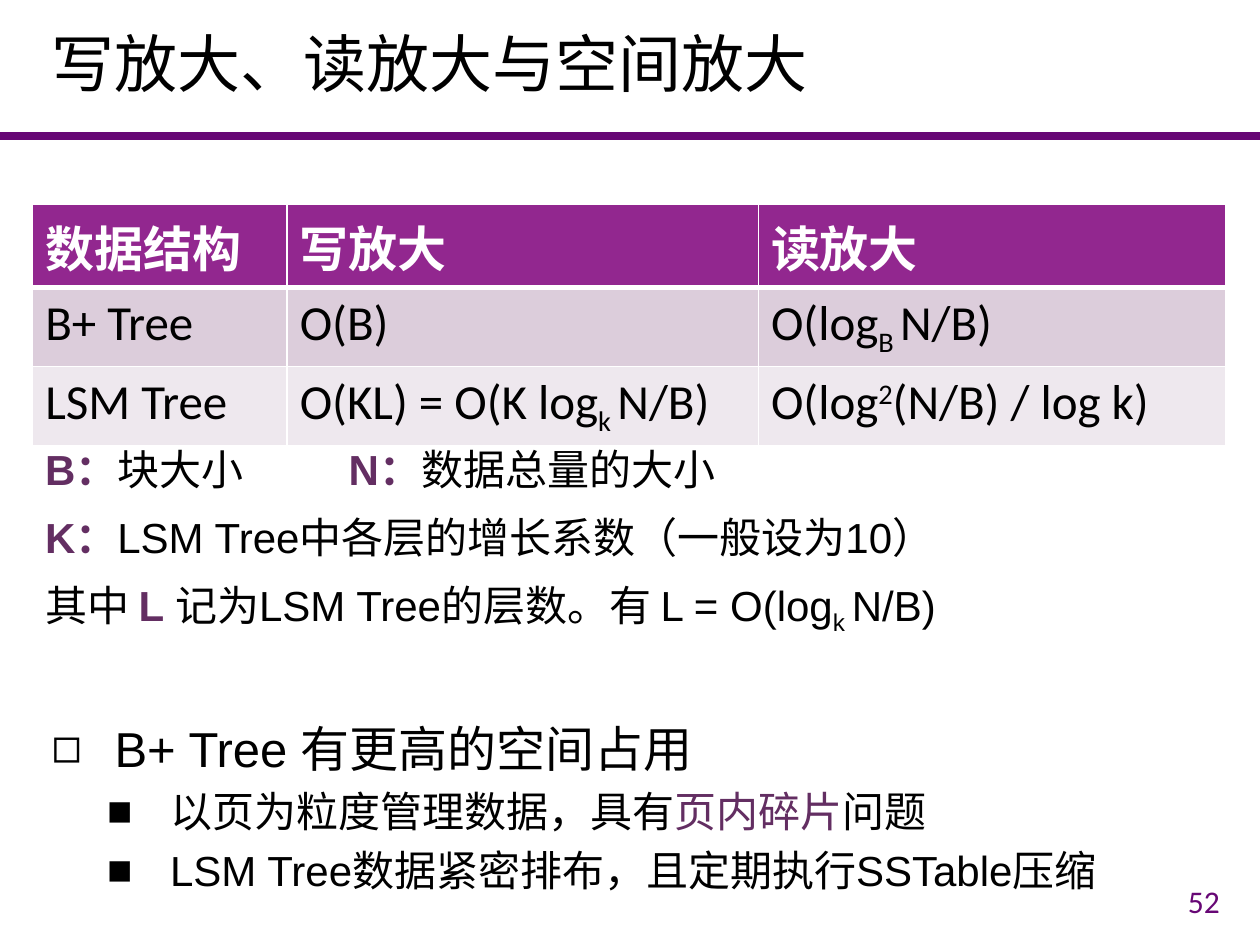
from dataclasses import dataclass

from lxml.etree import SubElement
from pptx import Presentation
from pptx.dml.color import RGBColor as Rgb
from pptx.enum.shapes import MSO_CONNECTOR as Connector
from pptx.enum.text import MSO_ANCHOR as Anchor, MSO_AUTO_SIZE as AutoSize, PP_ALIGN as Align
from pptx.oxml.ns import qn
from pptx.util import Inches, Pt

COLORS = {
    "rule": "670775",
    "header": "92278F",
    "band_dark": "DCCDDB",
    "band_light": "EEE8EE",
    "accent": "632E62",
    "black": "000000",
    "white": "FFFFFF",
}
SUBSCRIPT, SUPERSCRIPT = -25000, 30000


@dataclass(frozen=True)
class Piece:
    text: str
    color: str = "black"
    bold: bool = False
    baseline: int = 0


@dataclass(frozen=True)
class Bullet:
    pieces: list[Piece]
    level: int
    symbol: str
    indent: float
    size: int
    space_before: int


def key(text: str) -> Piece:
    return Piece(text, "accent", True)


def sub(text: str) -> Piece:
    return Piece(text, baseline=SUBSCRIPT)


TABLE_ROWS = [
    [[Piece(text, "white", True)] for text in ("数据结构", "写放大", "读放大")],
    [
        [Piece("B+ Tree")],
        [Piece("O(B)")],
        [Piece("O(log"), sub("B "), Piece("N/B)")],
    ],
    [
        [Piece("LSM Tree")],
        [Piece("O(KL) = O(K log"), sub("k "), Piece("N/B)")],
        [Piece("O(log"), Piece("2", baseline=SUPERSCRIPT), Piece("(N/B) / log k)")],
    ],
]
ROW_FILLS = ["header", "band_dark", "band_light"]
COLUMN_WIDTHS = [2.02, 3.74, 3.71]

DEFINITIONS = [
    [key("B："), Piece("块大小\t"), key("N："), Piece("数据总量的大小")],
    [key("K："), Piece("LSM Tree中各层的增长系数（一般设为10）")],
    [
        Piece("其中 "), key("L "), Piece("记为LSM Tree的层数。有 L = O(log"),
        sub("k "), Piece("N/B)"),
    ],
]

BULLETS = [
    Bullet([Piece("B+ Tree 有更高的空间占用")], 0, "◻", 0.5, 28, 0),
    Bullet(
        [Piece("以页为粒度管理数据，具有"), Piece("页内碎片", "accent"), Piece("问题")],
        1, "■", 0.94, 24, 5,
    ),
    Bullet([Piece("LSM Tree数据紧密排布，且定期执行SSTable压缩")], 1, "■", 0.94, 24, 5),
]


def color_of(name: str) -> Rgb:
    return Rgb.from_string(COLORS[name])


def place(shape, left: float, top: float, width: float, height: float) -> None:
    shape.left, shape.top = Inches(left), Inches(top)
    shape.width, shape.height = Inches(width), Inches(height)


def write_pieces(paragraph, pieces: list[Piece], size: int, font_name: str) -> None:
    for piece in pieces:
        run = paragraph.add_run()
        run.text = piece.text
        run.font.size, run.font.name, run.font.bold = Pt(size), font_name, piece.bold
        run.font.color.rgb = color_of(piece.color)
        if piece.baseline:
            run._r.get_or_add_rPr().set("baseline", str(piece.baseline))


def paragraph_at(text_frame, index: int):
    return text_frame.add_paragraph() if index else text_frame.paragraphs[0]


def draw_title(slide) -> None:
    title = slide.shapes.title
    place(title, 0.31, 0.09, 9.47, 0.89)
    title.text_frame.auto_size = AutoSize.NONE
    title.text_frame.vertical_anchor = Anchor.MIDDLE
    paragraph = title.text_frame.paragraphs[0]
    paragraph.alignment, paragraph.line_spacing = Align.LEFT, 0.9
    write_pieces(paragraph, [Piece("写放大、读放大与空间放大")], 36, "Arial")


def draw_rule(slide) -> None:
    rule = slide.shapes.add_connector(
        Connector.STRAIGHT, 0, Inches(1.08), Inches(10), Inches(1.08)
    )
    rule.line.color.rgb, rule.line.width = color_of("rule"), Pt(4.5)
    SubElement(rule._element.spPr, qn("a:effectLst"))


def draw_border(cell, side: str, width: int) -> None:
    line = SubElement(cell._tc.get_or_add_tcPr(), qn(f"a:ln{side}"), w=str(Pt(width)))
    fill = SubElement(line, qn("a:solidFill"))
    SubElement(fill, qn("a:srgbClr"), val=COLORS["white"])


def draw_table(slide) -> None:
    table = slide.shapes.add_table(
        len(TABLE_ROWS), len(COLUMN_WIDTHS),
        Inches(0.26), Inches(1.62), Inches(9.47), Inches(1.7),
    ).table
    for column, width in zip(table.columns, COLUMN_WIDTHS):
        column.width = Inches(width)
    for row_index, (row, fill_name) in enumerate(zip(TABLE_ROWS, ROW_FILLS)):
        table.rows[row_index].height = Inches(0.41)
        for column_index, pieces in enumerate(row):
            cell = table.cell(row_index, column_index)
            for side in "LRTB":
                under_header = (row_index, side) in ((0, "B"), (1, "T"))
                draw_border(cell, side, 3 if under_header else 1)
            cell.fill.solid()
            cell.fill.fore_color.rgb = color_of(fill_name)
            write_pieces(cell.text_frame.paragraphs[0], pieces, 28, "Calibri")


def add_text_frame(slide, left: float, top: float, width: float, height: float):
    box = slide.shapes.add_textbox(
        Inches(left), Inches(top), Inches(width), Inches(height)
    )
    box.text_frame.word_wrap = True
    return box.text_frame


def draw_definitions(slide) -> None:
    text_frame = add_text_frame(slide, 0.26, 3.47, 9.47, 1.81)
    for index, pieces in enumerate(DEFINITIONS):
        paragraph = paragraph_at(text_frame, index)
        paragraph.space_before = Pt(10 if index else 0)
        tabs = SubElement(paragraph._p.get_or_add_pPr(), qn("a:tabLst"))
        SubElement(tabs, qn("a:tab"), pos=str(Inches(2.41)), algn="l")
        write_pieces(paragraph, pieces, 24, "Arial")


def draw_bullets(slide) -> None:
    body = slide.placeholders[1]
    place(body, 0.31, 5.65, 9.47, 1.76)
    body.text_frame.auto_size = AutoSize.NONE
    for index, bullet in enumerate(BULLETS):
        paragraph = paragraph_at(body.text_frame, index)
        paragraph.level = bullet.level
        paragraph.space_before = Pt(bullet.space_before)
        properties = paragraph._p.get_or_add_pPr()
        properties.set("marL", str(Inches(bullet.indent)))
        properties.set("indent", str(Inches(-0.5)))
        SubElement(properties, qn("a:buChar"), char=bullet.symbol)
        write_pieces(paragraph, bullet.pieces, bullet.size, "Arial")


def draw_page_number(slide) -> None:
    text_frame = add_text_frame(slide, 7.53, 6.95, 2.25, 0.4)
    text_frame.vertical_anchor = Anchor.MIDDLE
    paragraph = text_frame.paragraphs[0]
    paragraph.alignment = Align.RIGHT
    write_pieces(paragraph, [Piece("52", "rule")], 18, "Calibri")


def main() -> None:
    presentation = Presentation()
    presentation.slide_width, presentation.slide_height = Inches(10), Inches(7.5)
    slide = presentation.slides.add_slide(presentation.slide_layouts[1])
    for draw in (draw_rule, draw_title, draw_table, draw_page_number,
                 draw_definitions, draw_bullets):
        draw(slide)
    presentation.save("out.pptx")


if __name__ == "__main__":
    main()
